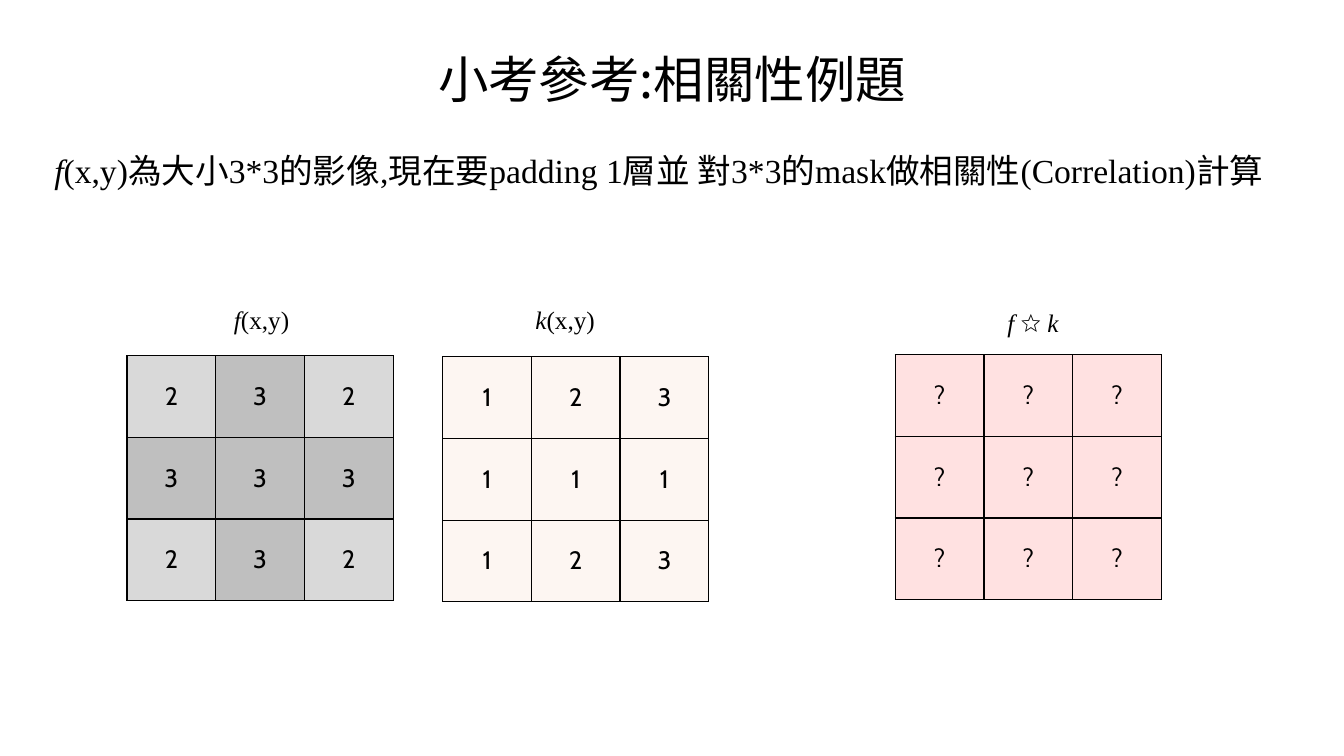
from lxml import etree
from pptx import Presentation
from pptx.dml.color import RGBColor
from pptx.enum import text
from pptx.oxml import ns
from pptx.util import Inches, Pt

COLORS = {"ink": "000000", "light": "D9D9D9", "dark": "BFBFBF",
          "mask": "FBE3D6", "result": "FFE1E1"}
CJK, SERIF, DIGITS = "Noto Sans CJK SC", "Times New Roman", "Cabin"

# Content: text runs are (wording, italic)
TITLE = "小考參考:相關性例題"
QUESTION = [("f", True),
            ("(x,y)為大小3*3的影像,現在要padding 1層並 對3*3的mask做相關性(Correlation)計算", False)]
GRIDS = [
    {"label": [("f", True), ("(x,y)", False)], "label_at": (2.13, 2.97),
     "at": (1.26, 3.53), "rows": ["232", "333", "232"],
     "fills": {"2": "light", "3": "dark"}},
    {"label": [("k", True), ("(x,y)", False)], "label_at": (5.14, 2.97),
     "at": (4.39, 3.54), "rows": ["123", "111", "123"],
     "fills": dict.fromkeys("123", "mask"), "opacity": 30},
    {"label": [("f ", True), ("☆ ", False), ("k", True)], "label_at": (9.78, 3),
     "at": (8.88, 3.52), "rows": ["???"] * 3, "fills": {"?": "result"}},
]
COL_W, ROW_H = 0.88, 0.81


def style_run(run, size, font, italic=False):
    run.font.size, run.font.name, run.font.italic = Pt(size), font, italic
    run.font.color.rgb = RGBColor.from_string(COLORS["ink"])
    east_asian = etree.SubElement(run._r.get_or_add_rPr(), ns.qn("a:ea"))
    east_asian.set("typeface", CJK)


def add_line(slide, box, runs, size, align):
    frame = slide.shapes.add_textbox(*map(Inches, box)).text_frame
    frame.word_wrap = True
    line = frame.paragraphs[0]
    line.alignment = align
    for wording, italic in runs:
        run = line.add_run()
        run.text = wording
        style_run(run, size, SERIF, italic)


def border_cell(cell):
    props = cell._tc.get_or_add_tcPr()
    for i, side in enumerate(("lnL", "lnR", "lnT", "lnB")):
        edge = etree.Element(ns.qn(f"a:{side}"), w=str(Pt(1)))
        fill = etree.SubElement(edge, ns.qn("a:solidFill"))
        etree.SubElement(fill, ns.qn("a:srgbClr"), val=COLORS["ink"])
        props.insert(i, edge)


def fill_cell(cell, color, opacity):
    cell.fill.solid()
    cell.fill.fore_color.rgb = RGBColor.from_string(color)
    if opacity < 100:
        tint = cell._tc.tcPr.find(".//" + ns.qn("a:srgbClr"))
        etree.SubElement(tint, ns.qn("a:alpha"), val=str(opacity * 1000))


def add_grid(slide, grid):
    rows = grid["rows"]
    n_rows, n_cols = len(rows), len(rows[0])
    box = (*grid["at"], COL_W * n_cols, ROW_H * n_rows)
    matrix = slide.shapes.add_table(n_rows, n_cols, *map(Inches, box)).table
    matrix.first_row = matrix.horz_banding = False
    for r, values in enumerate(rows):
        for c, value in enumerate(values):
            cell = matrix.cell(r, c)
            cell.text = value
            cell.vertical_anchor = text.MSO_ANCHOR.MIDDLE
            line = cell.text_frame.paragraphs[0]
            line.alignment = text.PP_ALIGN.CENTER
            style_run(line.runs[0], 18, DIGITS)
            fill_cell(cell, COLORS[grid["fills"][value]], grid.get("opacity", 100))
            border_cell(cell)


def main():
    prs = Presentation()
    prs.slide_width, prs.slide_height = Inches(13.33), Inches(7.5)
    slide = prs.slides.add_slide(prs.slide_layouts[5])

    # Title
    title = slide.shapes.title
    title.left, title.top, title.width, title.height = map(Inches, (0, 0.42, 13.33, 0.71))
    title.text_frame.text = TITLE
    title.text_frame.vertical_anchor = text.MSO_ANCHOR.MIDDLE
    heading = title.text_frame.paragraphs[0]
    heading.alignment = text.PP_ALIGN.CENTER
    style_run(heading.runs[0], 36, CJK)

    # Question
    add_line(slide, (0.44, 1.44, 12.25, 0.5), QUESTION, 24, text.PP_ALIGN.LEFT)

    # Matrices with their labels
    for grid in GRIDS:
        add_grid(slide, grid)
        add_line(slide, (*grid["label_at"], 0.93, 0.4), grid["label"], 18,
                 text.PP_ALIGN.CENTER)

    prs.save("out.pptx")


if __name__ == "__main__":
    main()
